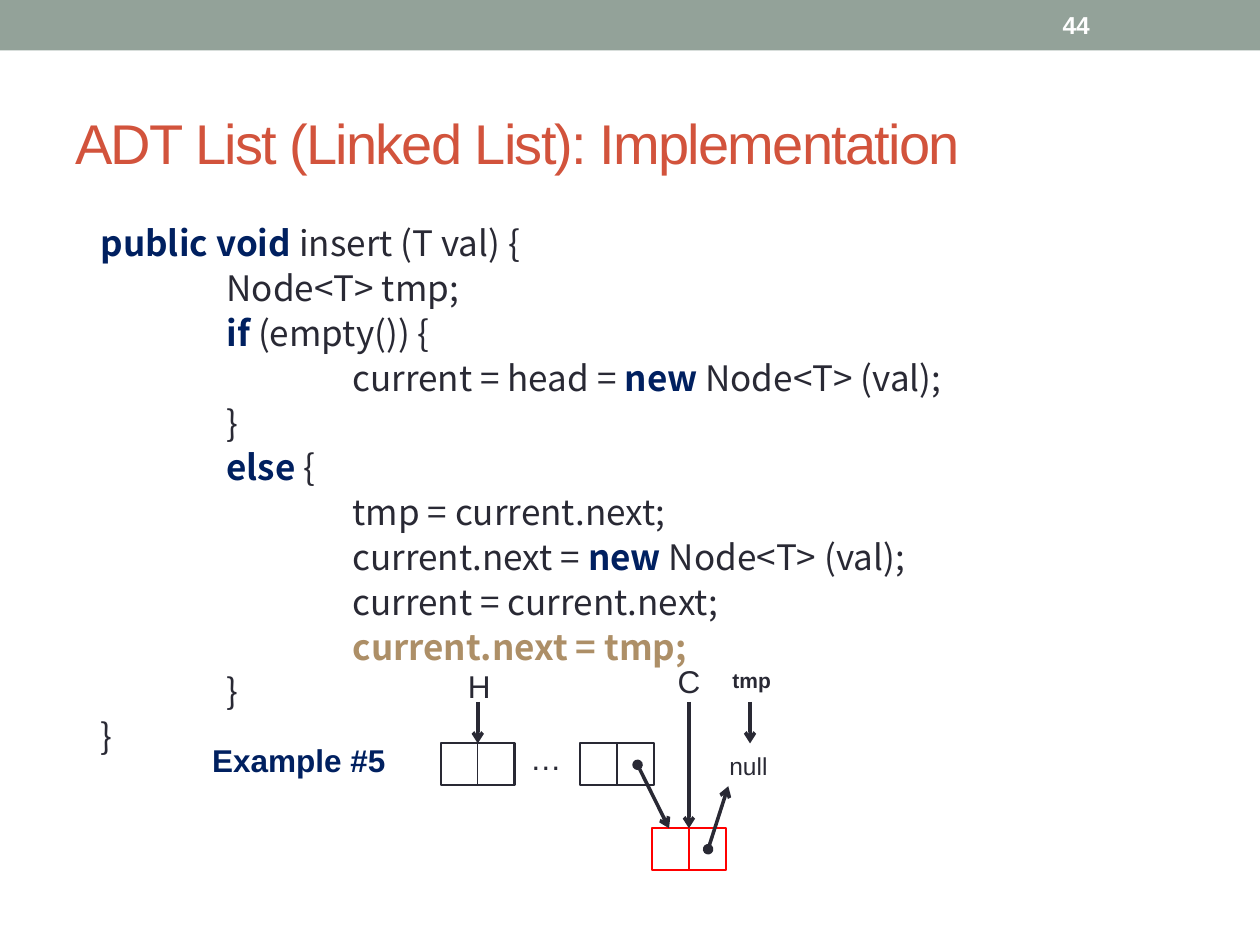
from dataclasses import dataclass

import pptx
import pptx.dml.color
import pptx.enum.shapes
import pptx.enum.text
import pptx.oxml.ns
import pptx.util

RGBColor = pptx.dml.color.RGBColor
WHITE = RGBColor(0xFF, 0xFF, 0xFF)
SAGE = RGBColor(0x93, 0xA2, 0x99)
BRICK = RGBColor(0xD2, 0x53, 0x3C)
INK = RGBColor(0x29, 0x29, 0x34)
NAVY = RGBColor(0x00, 0x20, 0x60)
TAN = RGBColor(0xAD, 0x8F, 0x67)
RED = RGBColor(0xFF, 0x00, 0x00)

CODE_FONT = "Noto Sans CJK SC"
COLUMNS, ROWS = 100, 75  # square grid cells of a tenth of an inch
NODE_WIDTH, NODE_HEIGHT = 5.84, 3.34
NODE_ROW, NEW_NODE_ROW, POINTER_ROW = 59, 65.74, 55.7
TOP, BOTTOM = 0, 2  # connection sites of a rectangle

presentation = pptx.Presentation()
presentation.slide_width = pptx.util.Inches(10)
presentation.slide_height = pptx.util.Inches(7.5)
slide = presentation.slides.add_slide(presentation.slide_layouts[6])


@dataclass(frozen=True)
class Run:
    text: str
    color: RGBColor = INK
    bold: bool = False


@dataclass(frozen=True)
class CodeLine:
    level: int
    runs: tuple[Run, ...]


@dataclass(frozen=True)
class Label:
    text: str
    box: tuple[float, float, float, float]
    size: float = 18
    color: RGBColor = INK
    bold: bool = False


@dataclass(frozen=True)
class Arrow:
    start: tuple[float, float]
    end: tuple[float, float]
    from_field: bool = False
    target: object = None


def across(columns: float) -> int:
    return round(presentation.slide_width * columns / COLUMNS)


def down(rows: float) -> int:
    return round(presentation.slide_height * rows / ROWS)


def place(left: float, top: float, width: float, height: float) -> tuple[int, ...]:
    return across(left), down(top), across(width), down(height)


def add_text(lines: list[CodeLine], box: tuple[float, ...], *, size: float,
             font: str = "Arial", wrap: bool = True, middle: bool = False,
             tracking: float = 0, hanging: float = 0,
             line_spacing: float = 1, space_before: float = 0) -> None:
    """Add a text box; each line is indented one inch per level."""
    frame = slide.shapes.add_textbox(*place(*box)).text_frame
    frame.word_wrap = wrap
    anchors = pptx.enum.text.MSO_ANCHOR
    frame.vertical_anchor = anchors.MIDDLE if middle else anchors.TOP
    for index, line in enumerate(lines):
        paragraph = frame.add_paragraph() if index else frame.paragraphs[0]
        paragraph.line_spacing = line_spacing
        paragraph.space_before = pptx.util.Pt(space_before if index else 0)
        properties = paragraph._p.get_or_add_pPr()
        properties.set("marL", str(across(hanging + 10 * line.level)))
        properties.set("indent", "0")
        for piece in line.runs:
            run = paragraph.add_run()
            run.text = piece.text
            run.font.name = font
            run.font.size = pptx.util.Pt(size)
            run.font.bold = piece.bold
            run.font.color.rgb = piece.color
            if tracking:
                run._r.get_or_add_rPr().set("spc", str(round(tracking * 100)))


def add_rectangle(box: tuple[float, ...], fill: RGBColor, outline: RGBColor | None = None):
    shape = slide.shapes.add_shape(
        pptx.enum.shapes.MSO_SHAPE.RECTANGLE, *place(*box))
    shape.shadow.inherit = False
    shape.fill.solid()
    shape.fill.fore_color.rgb = fill
    if outline is None:
        shape.line.fill.background()
    else:
        shape.line.color.rgb = outline
        shape.line.width = pptx.util.Pt(1.25)
    return shape


def add_line(start: tuple[float, float], end: tuple[float, float],
             color: RGBColor, width: float):
    connector = slide.shapes.add_connector(
        pptx.enum.shapes.MSO_CONNECTOR.STRAIGHT,
        across(start[0]), down(start[1]), across(end[0]), down(end[1]))
    connector.line.color.rgb = color
    connector.line.width = pptx.util.Pt(width)
    properties = connector._element.spPr
    properties.append(properties.makeelement(pptx.oxml.ns.qn("a:effectLst"), {}))
    return connector


def add_arrow(arrow: Arrow) -> None:
    connector = add_line(arrow.start, arrow.end, INK, 2)
    if arrow.target is not None:
        connector.end_connect(arrow.target, TOP)
    line = connector.line._get_or_add_ln()
    ends = [("a:headEnd", "oval")] if arrow.from_field else []
    for tag, kind in ends + [("a:tailEnd", "arrow")]:
        line.append(line.makeelement(pptx.oxml.ns.qn(tag), {"type": kind}))


def add_node(left: float, top: float, color: RGBColor = INK):
    """Add a list node: a box split into a value and a next field."""
    node = add_rectangle((left, top, NODE_WIDTH, NODE_HEIGHT), WHITE, color)
    middle = left + NODE_WIDTH / 2
    divider = add_line((middle, top), (middle, top + NODE_HEIGHT), color, 0.75)
    divider.begin_connect(node, TOP)
    divider.end_connect(node, BOTTOM)
    return node


def keyword(text: str) -> Run:
    return Run(text, NAVY, True)


# Header band, page number and title
add_rectangle((0, 0, COLUMNS, 4), SAGE)
add_text([CodeLine(0, (Run("44", WHITE, True),))], (83.35, 0.2, 11.7, 3.6),
         size=14, middle=True)
add_text([CodeLine(0, (Run("ADT List (Linked List): Implementation", BRICK),))],
         (5, 5.85, 90, 10.8), size=32, middle=True, tracking=-1)

# Code of the insert method
CODE = [
    CodeLine(0, (keyword("public void "), Run("insert (T val) {"))),
    CodeLine(1, (Run("Node<T> tmp;"),)),
    CodeLine(1, (keyword("if"), Run(" (empty()) {"))),
    CodeLine(2, (Run("current = head = "), keyword("new"), Run(" Node<T> (val);"))),
    CodeLine(1, (Run("}"),)),
    CodeLine(1, (keyword("else"), Run(" {"))),
    CodeLine(2, (Run("tmp = current.next;"),)),
    CodeLine(2, (Run("current.next = "), keyword("new"), Run(" Node<T> (val);"))),
    CodeLine(2, (Run("current = current.next;"),)),
    CodeLine(2, (Run("current.next = tmp;", TAN, True),)),
    CodeLine(1, (Run("}"),)),
    CodeLine(0, (Run("}"),)),
]
add_text(CODE, (5, 17.5, 90, 53.3), size=20, font=CODE_FONT, hanging=2,
         line_spacing=0.9, space_before=4)

# List nodes
first_node = add_node(35, NODE_ROW)
last_node = add_node(46.05, NODE_ROW)
new_node = add_node(51.76, NEW_NODE_ROW, RED)

# Pointers
ARROWS = [
    Arrow((37.92, POINTER_ROW), (37.92, NODE_ROW), target=first_node),
    Arrow((59.53, POINTER_ROW), (59.53, NODE_ROW)),
    Arrow((54.68, POINTER_ROW), (54.68, NEW_NODE_ROW), target=new_node),
    Arrow((50.6, 60.7), (53.1, NEW_NODE_ROW), from_field=True),
    Arrow((56.2, 67.4), (57.8, 62.4), from_field=True),
]
for pointer in ARROWS:
    add_arrow(pointer)

# Labels of the diagram
LABELS = [
    Label("H", (36.15, 52.45, 3.9, 4)),
    Label("…", (41.1, 58.2, 4.5, 4)),
    Label("C", (52.8, 52.05, 3.9, 4)),
    Label("tmp", (57.15, 52.5, 5.3, 3), 12, bold=True),
    Label("null", (56.9, 59.1, 5.6, 3.4), 14),
    Label("Example #5", (15.85, 58.3, 16.4, 4), color=NAVY, bold=True),
]
for label in LABELS:
    add_text([CodeLine(0, (Run(label.text, label.color, label.bold),))],
             label.box, size=label.size, wrap=False)

presentation.save("out.pptx")
